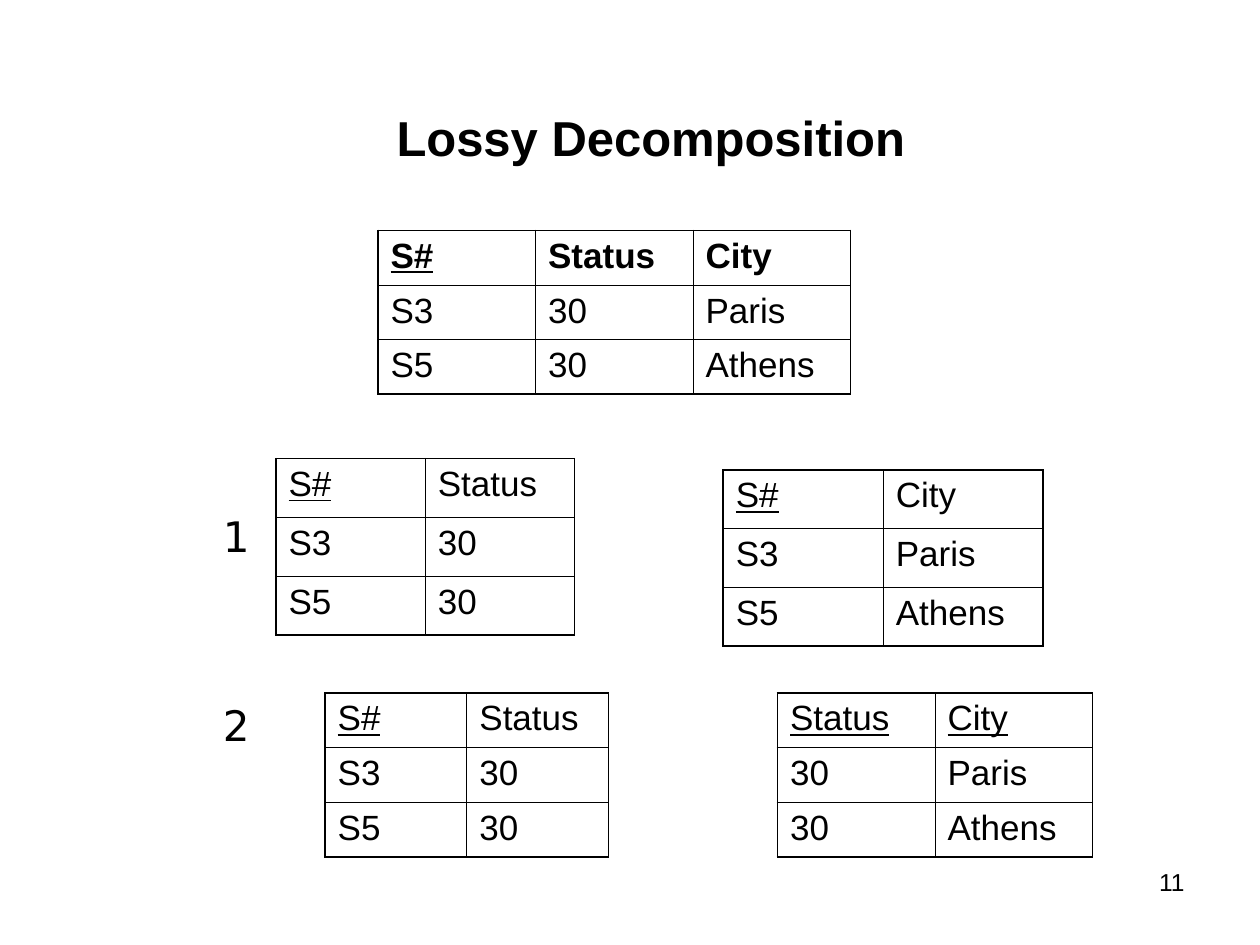
from lxml import etree
from pptx import Presentation
from pptx.dml.color import RGBColor
from pptx.enum.text import MSO_ANCHOR, PP_ALIGN
from pptx.oxml.ns import qn
from pptx.util import Inches, Pt

CENTER, LEFT, RIGHT = PP_ALIGN.CENTER, PP_ALIGN.LEFT, PP_ALIGN.RIGHT
MIDDLE, TOP = MSO_ANCHOR.MIDDLE, MSO_ANCHOR.TOP

COLORS = {"ink": "000000", "paper": "FFFFFF"}
OUTER, INNER = Pt(1.08), Pt(0.45)

TITLE = "Lossy Decomposition"
SUPPLIERS = [("S#", "Status", "City"), ("S3", "30", "Paris"), ("S5", "30", "Athens")]

# Each relation: left, top, width, height, source columns, key columns, bold header
RELATIONS = [
    (2.19, 3.64, 2.37, 1.4, (0, 1), {"S#"}, False),
    (5.74, 3.73, 2.54, 1.4, (0, 2), {"S#"}, False),
    (2.58, 5.5, 2.25, 1.3, (0, 1), {"S#"}, False),
    (6.17, 5.5, 2.5, 1.3, (1, 2), {"Status", "City"}, False),
    (3, 1.83, 3.75, 1.3, (0, 1, 2), {"S#"}, True),
]

LABELS = [
    ("1", (1.67, 4, 0.58, 0.5), 24, "DejaVu Sans", LEFT),
    ("2", (1.67, 5.5, 0.58, 0.5), 24, "DejaVu Sans", LEFT),
    ("11", (7.17, 6.83, 2.33, 0.52), 14, "Arial", RIGHT),
]


def write(frame, text, size, font="Arial", align=LEFT, bold=False, underline=False):
    """Put one formatted paragraph in a text frame."""
    frame.text = text
    paragraph = frame.paragraphs[0]
    paragraph.alignment = align
    style = paragraph.runs[0].font
    style.name, style.size = font, Pt(size)
    style.bold, style.underline = bold, underline
    style.color.rgb = RGBColor.from_string(COLORS["ink"])


def add_borders(cell, widths):
    """Draw the four cell edges with the given widths."""
    properties = cell._tc.get_or_add_tcPr()
    for side, width in widths.items():
        edge = etree.SubElement(properties, qn(f"a:ln{side}"), w=str(int(width)))
        fill = etree.SubElement(edge, qn("a:solidFill"))
        etree.SubElement(fill, qn("a:srgbClr"), val=COLORS["ink"])


def add_relation(slide, left, top, width, height, columns, keys, bold_header):
    """Add a projection of the supplier rows as a ruled table."""
    rows = [[supplier[c] for c in columns] for supplier in SUPPLIERS]
    last_row, last_col = len(rows) - 1, len(columns) - 1
    box = [Inches(v) for v in (left, top, width, height)]
    table = slide.shapes.add_table(len(rows), len(columns), *box).table
    table.first_row = table.horz_banding = False
    for column in table.columns:
        column.width = Inches(width / len(columns))
    for r, row in enumerate(rows):
        table.rows[r].height = Inches(height / len(rows))
        for c, value in enumerate(row):
            cell = table.cell(r, c)
            write(cell.text_frame, value, 20, bold=bold_header and r == 0,
                  underline=r == 0 and value in keys)
            add_borders(cell, {
                "L": OUTER if c == 0 else INNER,
                "R": OUTER if c == last_col else INNER,
                "T": OUTER if r == 0 else INNER,
                "B": OUTER if r == last_row else INNER,
            })
            cell.fill.background()


def main():
    """Build the lossy decomposition slide."""
    deck = Presentation()
    deck.slide_width, deck.slide_height = Inches(10), Inches(7.5)
    slide = deck.slides.add_slide(deck.slide_layouts[5])
    slide.background.fill.solid()
    slide.background.fill.fore_color.rgb = RGBColor.from_string(COLORS["paper"])

    title = slide.shapes.title
    title.left, title.top = Inches(0.83), Inches(0.5)
    title.width, title.height = Inches(8.67), Inches(1.17)
    title.text_frame.vertical_anchor = MIDDLE
    write(title.text_frame, TITLE, 28, align=CENTER, bold=True)

    for relation in RELATIONS:
        add_relation(slide, *relation)

    for text, box, size, font, align in LABELS:
        frame = slide.shapes.add_textbox(*(Inches(v) for v in box)).text_frame
        frame.word_wrap = True
        frame.vertical_anchor = TOP
        write(frame, text, size, font, align)

    deck.save("out.pptx")


if __name__ == "__main__":
    main()
